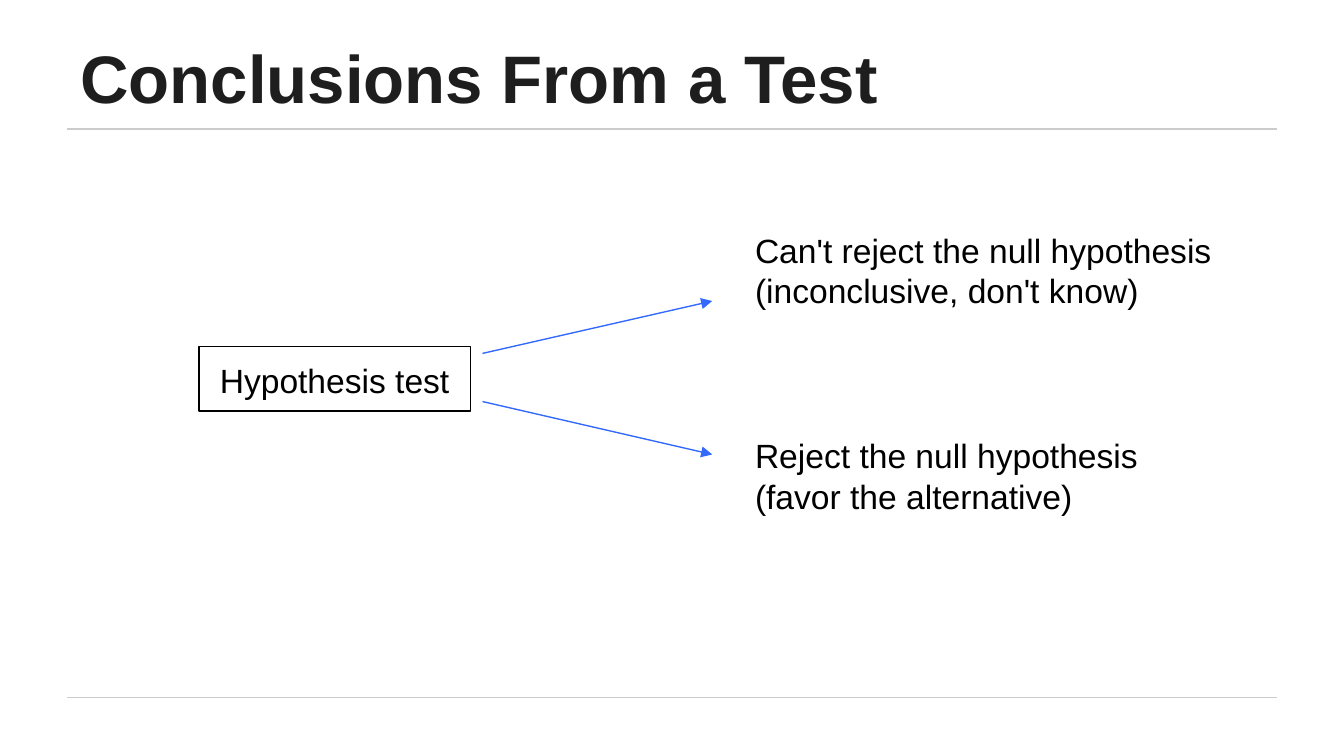
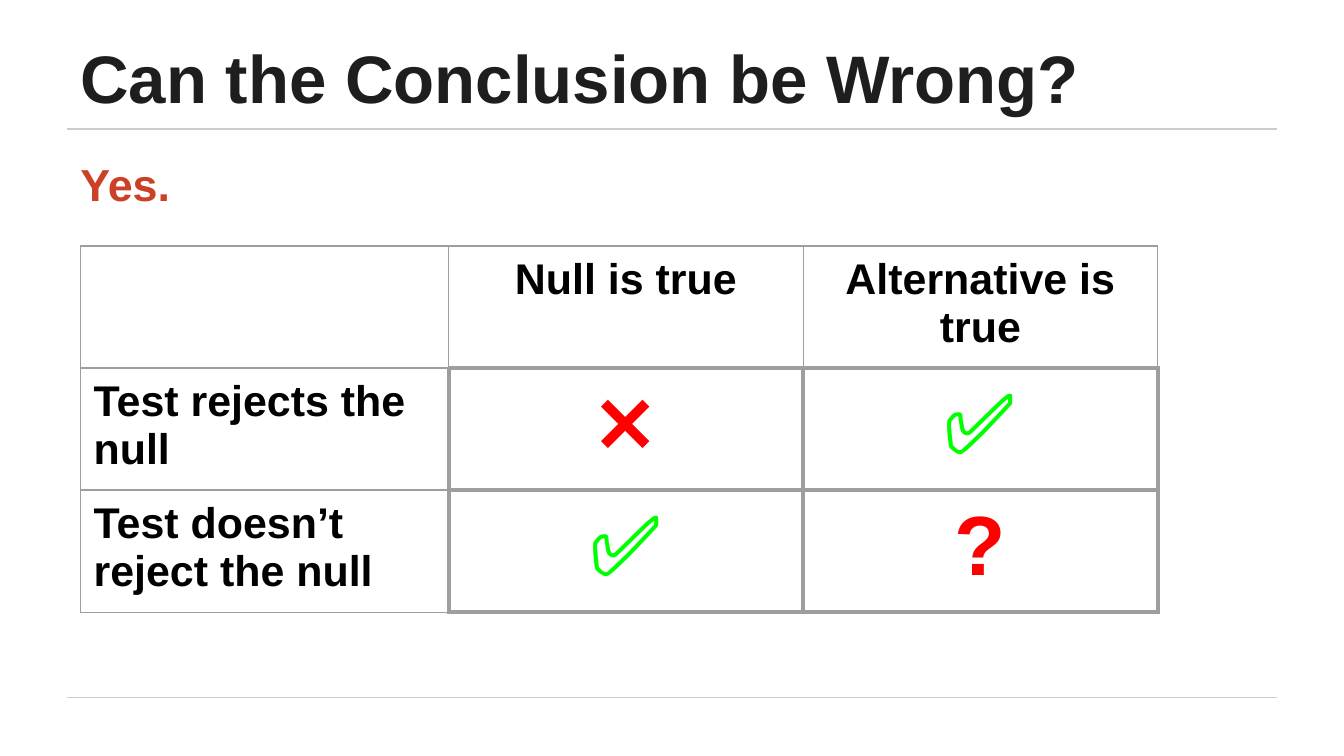
from lxml.etree import SubElement
from pptx import Presentation
from pptx.dml.color import RGBColor
from pptx.enum.shapes import MSO_CONNECTOR, MSO_SHAPE
from pptx.enum.text import MSO_ANCHOR, PP_ALIGN
from pptx.oxml.ns import qn
from pptx.util import Cm, Pt

COLORS = {
    "title": "1E1E1E",
    "text": "000000",
    "rule": "CCCCCC",
    "arrow": "3369FC",
    "answer": "CC4125",
    "border": "9E9E9E",
    "wrong": "FF0000",
    "right": "00FF00",
}
FONT = "Arial"
INSET = Cm(0.25)
THIN, THICK = 0.75, 2.25


def color(name):
    return RGBColor.from_string(COLORS[name])


def write(frame, lines, size, color_name="text", bold=False, align=PP_ALIGN.LEFT):
    para = frame.paragraphs[0]
    para.alignment = align
    for index, line in enumerate(lines):
        if index:
            para.add_line_break()
        span = para.add_run()
        span.text = line
        span.font.name = FONT
        span.font.size = Pt(size)
        span.font.bold = bold
        span.font.color.rgb = color(color_name)
    return para


def prepare(frame, anchor=MSO_ANCHOR.TOP):
    frame.word_wrap = True
    frame.vertical_anchor = anchor
    frame.margin_left = frame.margin_right = INSET
    frame.margin_top = frame.margin_bottom = INSET
    return frame


def add_line(page, start, end, color_name, arrow=False):
    line = page.shapes.add_connector(
        MSO_CONNECTOR.STRAIGHT, *map(Cm, start), *map(Cm, end))
    line.line.color.rgb = color(color_name)
    line.line.width = Pt(THIN)
    properties = line.element.spPr
    if arrow:
        SubElement(properties.find(qn("a:ln")), qn("a:tailEnd"), type="triangle")
    SubElement(properties, qn("a:effectLst"))


def add_page(deck, title):
    page = deck.slides.add_slide(deck.slide_layouts[5])
    for y in (2.44, 13.18):
        add_line(page, (1.27, y), (24.13, y), "rule")
    box = page.shapes.title
    box.left, box.top, box.width, box.height = map(Cm, (1.27, 0.58, 21.5, 1.88))
    write(prepare(box.text_frame, MSO_ANCHOR.BOTTOM), [title], 36, "title", True)
    return page


def add_text(page, place, lines, size, color_name="text", bold=False):
    box = page.shapes.add_textbox(*map(Cm, place))
    return write(prepare(box.text_frame), lines, size, color_name, bold)


def add_framed_text(page, place, text):
    box = page.shapes.add_shape(MSO_SHAPE.RECTANGLE, *map(Cm, place))
    box.shadow.inherit = False
    box.fill.background()
    box.line.color.rgb = color("text")
    box.line.width = Pt(THIN)
    write(prepare(box.text_frame), [text], 18, align=PP_ALIGN.CENTER)


def set_borders(cell, widths):
    properties = cell._tc.get_or_add_tcPr()
    for side in "LRTB":
        edge = SubElement(properties, qn(f"a:ln{side}"), w=str(Pt(widths[side])))
        fill = SubElement(edge, qn("a:solidFill"))
        SubElement(fill, qn("a:srgbClr"), val=COLORS["border"])


def border_widths(row, column):
    outcome = row > 0 and column > 0
    widths = dict.fromkeys("LRTB", THICK if outcome else THIN)
    if row > 0:
        widths["R"] = THICK
    if column > 0:
        widths["B"] = THICK
    return widths


def add_outcome_table(page, place, column_widths, row_height, rows):
    table = page.shapes.add_table(
        len(rows), len(column_widths), *map(Cm, place)).table
    table.first_row = table.horz_banding = False
    for column, width in zip(table.columns, column_widths):
        column.width = Cm(width)
    for r, values in enumerate(rows):
        table.rows[r].height = Cm(row_height)
        for c, value in enumerate(values):
            cell = table.cell(r, c)
            cell.margin_left = cell.margin_right = INSET
            cell.margin_top = cell.margin_bottom = Cm(0.18)
            set_borders(cell, border_widths(r, c))
            cell.fill.background()
            align = PP_ALIGN.CENTER if c else PP_ALIGN.LEFT
            if r and c:
                name = "right" if value == "✅" else "wrong"
                write(cell.text_frame, [value], 45, name, value == "?", align)
            elif value:
                write(cell.text_frame, [value], 23, bold=True, align=align)


def build_conclusions(deck):
    page = add_page(deck, "Conclusions From a Test")
    add_framed_text(page, (3.76, 6.55, 5.13, 1.22), "Hypothesis test")
    conclusions = [
        (4.09, ["Can't reject the null hypothesis", "(inconclusive, don't know)"]),
        (7.98, ["Reject the null hypothesis", "(favor the alternative)"]),
    ]
    for top, lines in conclusions:
        add_text(page, (14.02, top, 9.55, 2.16), lines, 18)
    for start_y, end_y in ((6.68, 5.69), (7.59, 8.59)):
        add_line(page, (9.12, start_y), (13.46, end_y), "arrow", arrow=True)


def build_errors(deck):
    page = add_page(deck, "Can the Conclusion be Wrong?")
    answer = add_text(page, (1.27, 2.72, 22.86, 1.63), ["Yes."], 24, "answer", True)
    answer.space_before = Pt(4.8)
    rows = [
        ["", "Null is true", "Alternative is true"],
        ["Test rejects the null", "❌", "✅"],
        ["Test doesn’t reject the null", "✅", "?"],
    ]
    add_outcome_table(page, (1.52, 4.65, 20.36, 6.6), (6.96, 6.7, 6.7), 2.2, rows)


def main():
    deck = Presentation()
    deck.slide_width, deck.slide_height = Cm(25.4), Cm(14.29)
    build_conclusions(deck)
    build_errors(deck)
    deck.save("out.pptx")


main()
